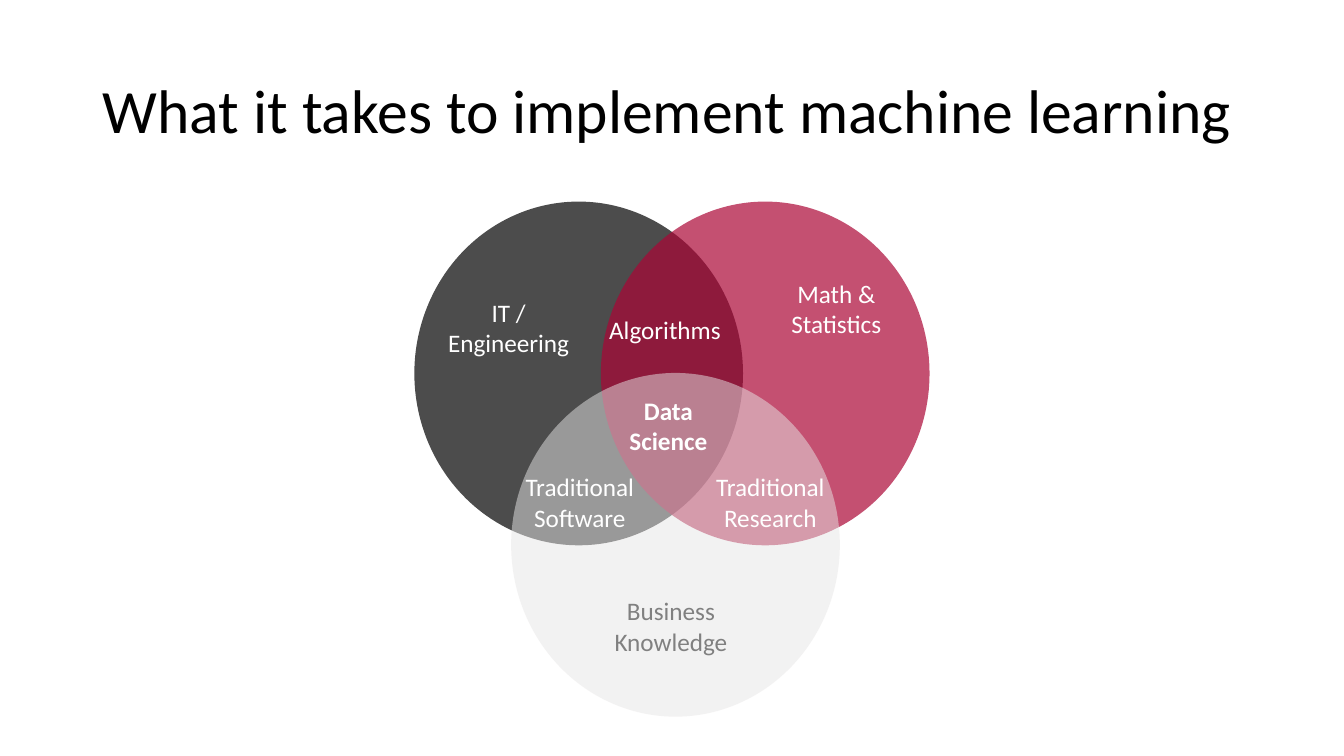
from lxml import etree
from pptx import Presentation
from pptx.dml.color import RGBColor
from pptx.enum.shapes import MSO_SHAPE
from pptx.enum.text import MSO_ANCHOR, MSO_AUTO_SIZE, PP_ALIGN
from pptx.oxml.ns import qn
from pptx.util import Inches, Pt

OVAL = MSO_SHAPE.OVAL
MIDDLE = MSO_ANCHOR.MIDDLE
GROW = MSO_AUTO_SIZE.SHAPE_TO_FIT_TEXT
NO_FIT = MSO_AUTO_SIZE.NONE
LEFT, CENTER = PP_ALIGN.LEFT, PP_ALIGN.CENTER

FONT = "Calibri"
TITLE_ONLY = 5
COLORS = {
    "black": "000000",
    "crimson": "AB0636",
    "light": "E7E6E6",
    "white": "FFFFFF",
    "gray": "808080",
}
CIRCLE_W, CIRCLE_H = 3.26, 3.41
ONE_LINE, TWO_LINES = 0.4, 0.71

# x and y from the corner of the diagram, colour, opacity in percent
CIRCLES = [
    (0, 0, "black", 70),
    (1.85, 0, "crimson", 70),
    (0.96, 1.7, "light", 50),
]
# text, x and y from the corner of the diagram, width, height, colour, bold
LABELS = [
    ("IT / Engineering", 0.15, 0.9, 1.57, TWO_LINES, "white", False),
    ("Math & Statistics", 3.32, 0.71, 1.73, TWO_LINES, "white", False),
    ("Business Knowledge", 1.63, 3.86, 1.83, TWO_LINES, "gray", False),
    ("Algorithms", 1.79, 1.07, 1.39, ONE_LINE, "white", False),
    ("Traditional Research", 2.82, 2.63, 1.42, TWO_LINES, "white", False),
    ("Traditional Software", 0.93, 2.63, 1.42, TWO_LINES, "white", False),
    ("Data Science", 1.9, 1.87, 1.24, TWO_LINES, "white", True),
]


def rgb(name):
    return RGBColor.from_string(COLORS[name])


def add_run(p, text, size, color, bold=False):
    r = p.add_run()
    r.text = text
    r.font.name = FONT
    r.font.size = Pt(size)
    r.font.bold = bold
    r.font.color.rgb = rgb(color)


def add_title(s, text, x, y, w, h):
    title = s.shapes.title
    title.left, title.top = Inches(x), Inches(y)
    title.width, title.height = Inches(w), Inches(h)
    tf = title.text_frame
    tf.auto_size = NO_FIT
    tf.vertical_anchor = MIDDLE
    p = tf.paragraphs[0]
    p.alignment = LEFT
    p.line_spacing = 0.9
    add_run(p, text, 44, "black")


def add_circle(s, x, y, color, opacity):
    sp = s.shapes.add_shape(OVAL, Inches(x), Inches(y), Inches(CIRCLE_W), Inches(CIRCLE_H))
    sp.shadow.inherit = False
    sp.line.fill.background()
    sp.fill.solid()
    sp.fill.fore_color.rgb = rgb(color)
    clr = sp.fill._xPr.find(qn("a:solidFill")).find(qn("a:srgbClr"))
    etree.SubElement(clr, qn("a:alpha")).set("val", str(opacity * 1000))


def add_label(s, text, x, y, w, h, color, bold):
    box = s.shapes.add_textbox(Inches(x), Inches(y), Inches(w), Inches(h))
    tf = box.text_frame
    tf.word_wrap = True
    tf.auto_size = GROW
    p = tf.paragraphs[0]
    p.alignment = CENTER
    add_run(p, text, 18, color, bold)


def add_venn(s, x, y):
    """Draw the three circles, then their labels, from the corner x, y."""
    for dx, dy, *style in CIRCLES:
        add_circle(s, x + dx, y + dy, *style)
    for text, dx, dy, *style in LABELS:
        add_label(s, text, x + dx, y + dy, *style)


def main():
    prs = Presentation()
    prs.slide_width, prs.slide_height = Inches(13.33), Inches(7.5)
    s = prs.slides.add_slide(prs.slide_layouts[TITLE_ONLY])
    add_title(s, "What it takes to implement machine learning", 0.92, 0.4, 11.5, 1.45)
    add_venn(s, 4.11, 2)
    prs.save("out.pptx")


if __name__ == "__main__":
    main()
